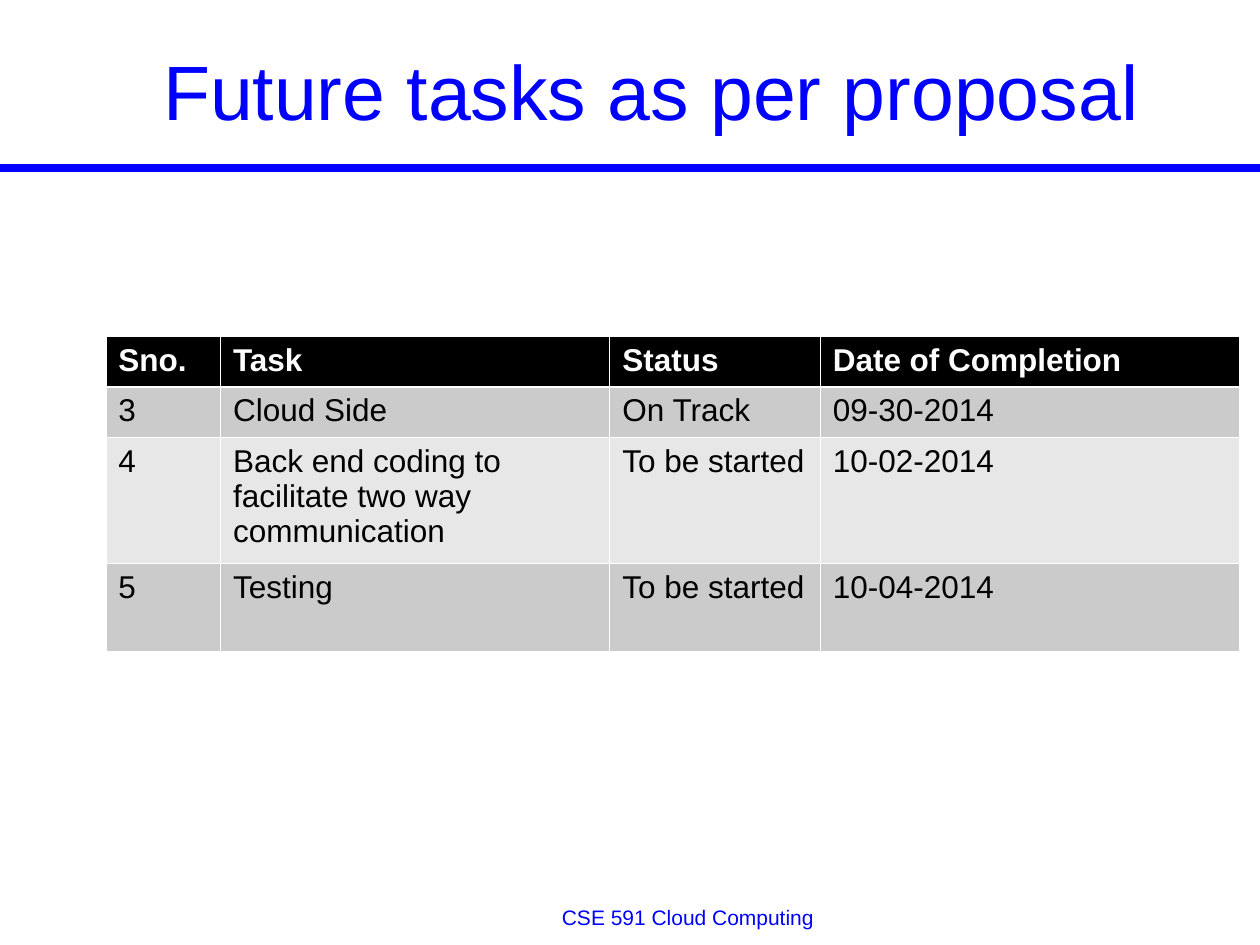
from dataclasses import dataclass

from lxml import etree
from pptx import Presentation
from pptx import util as u
from pptx.dml.color import RGBColor
from pptx.enum import shapes, text
from pptx.oxml import ns

TITLE = "Future tasks as per proposal"
FOOTER = "CSE 591 Cloud Computing"
TASKS = [
    ("Sno.", "Task", "Status", "Date of Completion"),
    ("3", "Cloud Side", "On Track", "09-30-2014"),
    ("4", "Back end coding to facilitate two way communication", "To be started", "10-02-2014"),
    ("5", "Testing", "To be started", "10-04-2014"),
]
COLUMN_WIDTHS = (0.91, 3.09, 1.67, 3.33)
ROW_HEIGHTS = (0.4, 0.4, 1, 0.7)
SLIDE_WIDTH, SLIDE_HEIGHT = 10, 7.5


@dataclass(frozen=True)
class Theme:
    font: str = "Arial"
    blue: str = "0000FF"
    white: str = "FFFFFF"
    black: str = "000000"
    bands: tuple = ("CBCBCB", "E7E7E7")
    title_size: int = 44
    table_size: int = 18
    footer_size: int = 12
    rule_width: float = 4.5
    border_width: float = 0.45
    header_border_width: float = 1.47


THEME = Theme()


def box(left, top, width, height):
    return [u.Inches(value) for value in (left, top, width, height)]


def add_run(paragraph, words, size, color, bold=False):
    run = paragraph.add_run()
    run.text = words
    run.font.name = THEME.font
    run.font.size = u.Pt(size)
    run.font.bold = bold
    run.font.color.rgb = RGBColor.from_string(color)


def add_title(slide):
    title = slide.shapes.title
    title.left, title.top, title.width, title.height = box(0.67, 0.17, 9, 1.08)
    frame = title.text_frame
    frame.vertical_anchor = text.MSO_ANCHOR.MIDDLE
    paragraph = frame.paragraphs[0]
    paragraph.alignment = text.PP_ALIGN.CENTER
    add_run(paragraph, TITLE, THEME.title_size, THEME.blue)


def add_rule(slide):
    rule = slide.shapes.add_connector(
        shapes.MSO_CONNECTOR.STRAIGHT,
        0, u.Inches(1.33), u.Inches(SLIDE_WIDTH), u.Inches(1.33))
    rule.line.color.rgb = RGBColor.from_string(THEME.blue)
    rule.line.width = u.Pt(THEME.rule_width)
    etree.SubElement(rule._element.spPr, ns.qn("a:effectLst"))


def add_footer(slide):
    frame = slide.shapes.add_textbox(*box(1.92, 7.17, 7.08, 0.26)).text_frame
    frame.word_wrap = True
    paragraph = frame.paragraphs[0]
    paragraph.alignment = text.PP_ALIGN.CENTER
    paragraph.line_spacing = 0.8
    paragraph.space_before, paragraph.space_after = u.Pt(4.5), u.Pt(1.5)
    add_run(paragraph, FOOTER, THEME.footer_size, THEME.blue)


def set_borders(cell, widths):
    """Draw left, right, top and bottom borders, ahead of the cell's fill."""
    properties = cell._tc.get_or_add_tcPr()
    for index, (side, width) in enumerate(zip(("lnL", "lnR", "lnT", "lnB"), widths)):
        line = etree.Element(ns.qn(f"a:{side}"), w=str(u.Pt(width)))
        fill = etree.SubElement(line, ns.qn("a:solidFill"))
        etree.SubElement(fill, ns.qn("a:srgbClr"), val=THEME.white)
        properties.insert(index, line)


def add_task_table(slide):
    area = box(0.84, 2.67, sum(COLUMN_WIDTHS), sum(ROW_HEIGHTS))
    table = slide.shapes.add_table(len(TASKS), len(COLUMN_WIDTHS), *area).table
    for column, width in zip(table.columns, COLUMN_WIDTHS):
        column.width = u.Inches(width)
    thin, thick = THEME.border_width, THEME.header_border_width
    for row_index, (row, height, values) in enumerate(zip(table.rows, ROW_HEIGHTS, TASKS)):
        row.height = u.Inches(height)
        header = row_index == 0
        fill = THEME.black if header else THEME.bands[(row_index - 1) % 2]
        color = THEME.white if header else THEME.black
        top = thick if row_index == 1 else thin
        bottom = thick if header else thin
        for cell, value in zip(row.cells, values):
            cell.fill.solid()
            cell.fill.fore_color.rgb = RGBColor.from_string(fill)
            set_borders(cell, (thin, thin, top, bottom))
            add_run(cell.text_frame.paragraphs[0], value, THEME.table_size, color, header)


def main():
    presentation = Presentation()
    presentation.slide_width = u.Inches(SLIDE_WIDTH)
    presentation.slide_height = u.Inches(SLIDE_HEIGHT)
    slide = presentation.slides.add_slide(presentation.slide_layouts[5])
    add_rule(slide)
    add_footer(slide)
    add_title(slide)
    add_task_table(slide)
    presentation.save("out.pptx")


if __name__ == "__main__":
    main()
